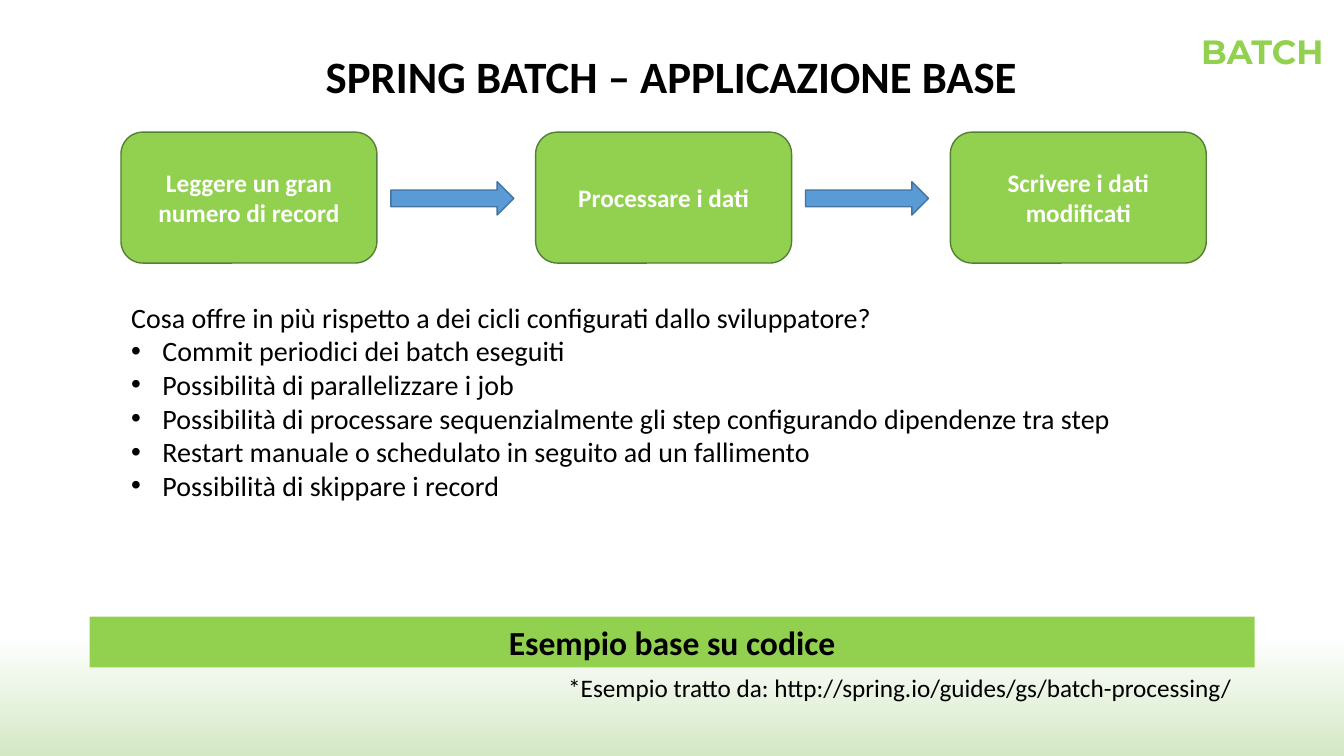
"""Build the slide on the basic Spring Batch application."""
import lxml.etree
import pptx
import pptx.dml.color
import pptx.enum.shapes
import pptx.enum.text
import pptx.oxml.ns
import pptx.util

Cm = pptx.util.Cm
SHAPE = pptx.enum.shapes.MSO_SHAPE
ALIGN = pptx.enum.text.PP_ALIGN
ANCHOR = pptx.enum.text.MSO_ANCHOR
GREEN, BLACK = "92D050", "000000"


def rgb(value):
    return pptx.dml.color.RGBColor.from_string(value)


def write(sp, text, size, color=BLACK, bold=False, align=ALIGN.LEFT,
          anchor=ANCHOR.TOP, font="Calibri"):
    tf = sp.text_frame
    tf.text = text
    tf.word_wrap = True
    tf.auto_size = pptx.enum.text.MSO_AUTO_SIZE.NONE
    tf.vertical_anchor = anchor
    for p in tf.paragraphs:
        p.alignment = align
        p.space_before = pptx.util.Pt(0)
        for r in p.runs:
            r.font.name = font
            r.font.size = pptx.util.Pt(size)
            r.font.bold = bold
            r.font.color.rgb = rgb(color)


prs = pptx.Presentation()
prs.slide_width, prs.slide_height = Cm(33.87), Cm(19.05)
s = prs.slides.add_slide(prs.slide_layouts[1])

fill = s.background.fill
fill.gradient()
fill.gradient_angle = 270
for stop, position, color in zip(fill.gradient_stops, (0.84, 1), ("FFFFFF", "D4E8C6")):
    stop.position = position
    stop.color.rgb = rgb(color)

title = s.shapes.title
title.left, title.top, title.width, title.height = Cm(7.16), Cm(1.09), Cm(19.53), Cm(1.63)
write(title, "SPRING BATCH – APPLICAZIONE BASE", 32, bold=True, align=ALIGN.CENTER)

label = s.shapes.add_textbox(Cm(30.02), Cm(0.66), Cm(3.8), Cm(1.27))
write(label, "BATCH", 24, GREEN, bold=True, font="Montserrat")

steps = ["Leggere un gran numero di record", "Processare i dati", "Scrivere i dati modificati"]
pitch = 10.45
for i, step in enumerate(steps):
    box = s.shapes.add_shape(SHAPE.ROUNDED_RECTANGLE, Cm(3.05 + i * pitch), Cm(3.33), Cm(6.45), Cm(3.3))
    write(box, step, 18, "FFFFFF", True, ALIGN.CENTER, ANCHOR.MIDDLE)
    parts = [(box, GREEN, "538035")]
    if i < len(steps) - 1:
        arrow = s.shapes.add_shape(SHAPE.RIGHT_ARROW, Cm(9.85 + i * pitch), Cm(4.58), Cm(3.1), Cm(0.84))
        parts.append((arrow, "5B9BD5", "43739E"))
    for sp, color, outline in parts:
        sp.shadow.inherit = False
        sp.fill.solid()
        sp.fill.fore_color.rgb = rgb(color)
        sp.line.color.rgb = rgb(outline)
        sp.line.width = pptx.util.Pt(1)

body = s.placeholders[1]
body.left, body.top, body.width, body.height = Cm(3.05), Cm(7.44), Cm(27.36), Cm(6.15)
lines = [
    "Cosa offre in più rispetto a dei cicli configurati dallo sviluppatore?",
    "Commit periodici dei batch eseguiti",
    "Possibilità di parallelizzare i job",
    "Possibilità di processare sequenzialmente gli step configurando dipendenze tra step",
    "Restart manuale o schedulato in seguito ad un fallimento",
    "Possibilità di skippare i record",
]
write(body, "\n".join(lines), 20)
for i, p in enumerate(body.text_frame.paragraphs):
    pPr = p._p.get_or_add_pPr()
    indent = Cm(0.79) if i else 0
    pPr.set("marL", str(indent))
    pPr.set("indent", str(-indent))
    if i:
        lxml.etree.SubElement(pPr, pptx.oxml.ns.qn("a:buChar"), char="•")
    else:
        lxml.etree.SubElement(pPr, pptx.oxml.ns.qn("a:buNone"))

bar = s.shapes.add_shape(SHAPE.RECTANGLE, Cm(2.26), Cm(15.54), Cm(29.36), Cm(1.28))
bar.shadow.inherit = False
bar.fill.solid()
bar.fill.fore_color.rgb = rgb(GREEN)
bar.line.fill.background()
write(bar, "Esempio base su codice", 24, bold=True, align=ALIGN.CENTER)

source = s.shapes.add_textbox(Cm(14.07), Cm(16.81), Cm(17.53), Cm(1.02))
write(source, "*Esempio tratto da: http://spring.io/guides/gs/batch-processing/", 18)

prs.save("out.pptx")
